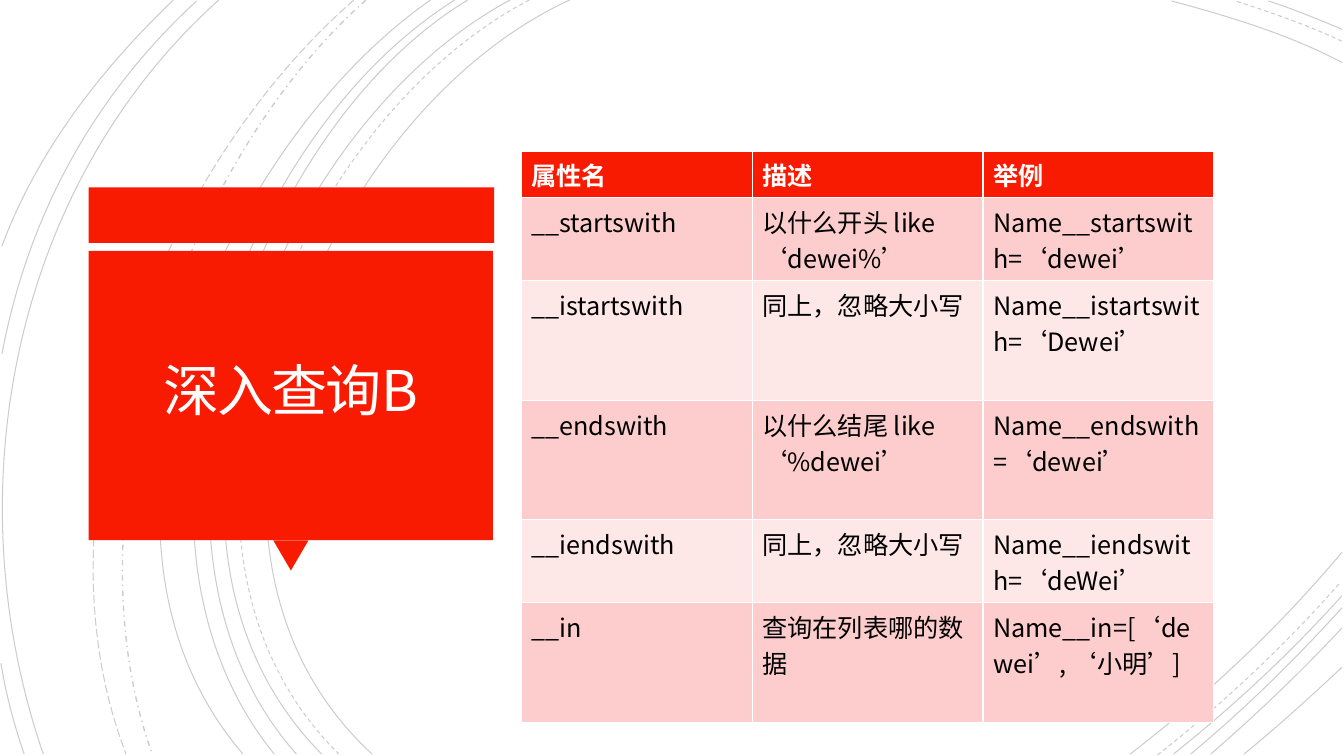
from pptx import Presentation
from pptx.dml.color import RGBColor
from pptx.enum.dml import MSO_LINE
from pptx.enum.shapes import MSO_SHAPE
from pptx.enum.text import MSO_ANCHOR, MSO_AUTO_SIZE, PP_ALIGN
from pptx.oxml.ns import qn
from pptx.util import Inches, Pt
from lxml.etree import SubElement

FONT = "Noto Sans CJK SC"
RED, WHITE, BLACK = "F81B02", "FFFFFF", "000000"


def color(code):
    return RGBColor.from_string(code)


def write(frame, text, size=18, ink=BLACK, bold=False, align=PP_ALIGN.LEFT):
    para = frame.paragraphs[0]
    para.alignment = align
    run = para.add_run()
    run.text = text
    font = run.font
    font.size, font.bold, font.name = Pt(size), bold, FONT
    font.color.rgb = color(ink)
    SubElement(run._r.get_or_add_rPr(), qn("a:ea"), typeface=FONT)
    return run


deck = Presentation()
deck.slide_width, deck.slide_height = Inches(13.33), Inches(7.5)
slide = deck.slides.add_slide(deck.slide_layouts[5])
shapes = slide.shapes

# Background arcs: start, two control points, end
SOLID, DASH = MSO_LINE.SOLID, MSO_LINE.DASH
arcs = [
    (5.65, 0, 3.15, 1.15, 1.43, 5.4, 3.69, 7.48, SOLID),
    (13.31, 0.62, 12.78, 0.34, 12.18, 0.16, 11.62, 0.01, SOLID),
    (11.21, 7.48, 11.97, 6.9, 12.69, 6.22, 13.31, 5.48, SOLID),
    (5.25, 0, 2.85, 1.25, 1.23, 5.37, 3.36, 7.48, DASH),
    (13.31, 0.41, 12.97, 0.25, 12.6, 0.12, 12.25, 0.01, DASH),
    (11.48, 7.49, 12.13, 6.98, 12.75, 6.4, 13.3, 5.77, DASH),
    (5.06, 0, 2.7, 1.27, 1.1, 5.37, 3.19, 7.48, SOLID),
    (13.31, 0.29, 13.07, 0.19, 12.83, 0.09, 12.58, 0.01, SOLID),
    (11.64, 7.48, 12.23, 7.01, 12.8, 6.48, 13.31, 5.91, SOLID),
    (4.64, 0, 2.44, 1.33, 1.1, 5.41, 2.94, 7.48, SOLID),
    (11.81, 7.48, 12.34, 7.04, 12.84, 6.55, 13.31, 6.03, SOLID),
    (4.51, 0, 2.31, 1.38, 0.97, 5.33, 2.72, 7.48, SOLID),
    (12.01, 7.48, 12.46, 7.09, 12.9, 6.67, 13.31, 6.23, SOLID),
    (4.27, 0, 2.17, 1.47, 0.53, 5.29, 2.41, 7.48, SOLID),
    (12.34, 7.48, 12.67, 7.21, 12.99, 6.92, 13.31, 6.62, SOLID),
    (3.63, 0, 1.76, 1.66, 0.65, 5.09, 1.51, 7.48, MSO_LINE.DASH_DOT),
    (3.51, 0, 1.57, 1.69, 0.29, 4.99, 1.25, 7.48, MSO_LINE.LONG_DASH),
    (2.17, 0, 0.11, 1.85, -0.46, 4.9, 0.43, 7.48, SOLID),
    (1.95, 0.01, 0.92, 0.96, 0.28, 2.14, 0.02, 3.51, SOLID),
    (0.01, 6.58, 0.06, 6.89, 0.14, 7.19, 0.24, 7.48, SOLID),
    (1.72, 0, 1, 0.69, 0.37, 1.5, 0.02, 2.44, SOLID),
]
for *nums, dash in arcs:
    points = [(Inches(x), Inches(y)) for x, y in zip(nums[::2], nums[1::2])]
    pen = shapes.build_freeform(*points[0])
    pen.add_line_segments(points[1:], close=False)
    arc = pen.convert_to_shape()
    # Join the three segments into one cubic curve
    track = arc._element.find(".//" + qn("a:pathLst"))[0]
    curve = SubElement(track, qn("a:cubicBezTo"))
    for leg in track.findall(qn("a:lnTo")):
        curve.append(leg[0])
        track.remove(leg)
    arc.shadow.inherit = False
    arc.fill.background()
    arc.line.color.rgb = color(BLACK)
    arc.line.width = Pt(1 if dash == MSO_LINE.DASH_DOT else 0.75)
    arc.line.dash_style = dash
    tint = arc.line._ln.find(".//" + qn("a:srgbClr"))
    SubElement(tint, qn("a:alpha"), val="20000")

# Red title panel with its pointer
for kind, box, turn in [
    (MSO_SHAPE.RECTANGLE, (0.88, 1.86, 4.02, 0.55), 0),
    (MSO_SHAPE.ISOSCELES_TRIANGLE, (2.71, 5.36, 0.35, 0.3), 180),
    (MSO_SHAPE.RECTANGLE, (0.88, 2.49, 4.01, 2.87), 0),
]:
    panel = shapes.add_shape(kind, *map(Inches, box))
    panel.rotation = turn
    panel.shadow.inherit = False
    panel.fill.solid()
    panel.fill.fore_color.rgb = color(RED)
    panel.line.fill.background()

# Title, brought in front of the panel
title = shapes.title
title.left, title.top = Inches(0.97), Inches(2.57)
title.width, title.height = Inches(3.83), Inches(2.69)
frame = title.text_frame
frame.word_wrap = True
frame.auto_size = MSO_AUTO_SIZE.NONE
frame.vertical_anchor = MSO_ANCHOR.MIDDLE
frame.margin_left = frame.margin_right = Inches(0.25)
frame.margin_top = frame.margin_bottom = Inches(0.25)
run = write(frame, "深入查询B", size=40, ink="FFFEFF", align=PP_ALIGN.CENTER)
run._r.get_or_add_rPr().set("spc", "-150")
frame.paragraphs[0].line_spacing = 0.85
shapes._spTree.append(title._element)

# Lookup table; its default style draws the white rules
rows = [
    ("属性名", "描述", "举例"),
    ("__startswith", "以什么开头 like ‘dewei%’", "Name__startswith=‘dewei’"),
    ("__istartswith", "同上，忽略大小写", "Name__istartswith=‘Dewei’"),
    ("__endswith", "以什么结尾 like ‘%dewei’", "Name__endswith=‘dewei’"),
    ("__iendswith", "同上，忽略大小写", "Name__iendswith=‘deWei’"),
    ("__in", "查询在列表哪的数据", "Name__in=[‘dewei’, ‘小明’]"),
]
highs = [0.44, 0.82, 1.19, 1.18, 0.82, 1.18]
table = shapes.add_table(len(rows), 3, Inches(5.17), Inches(1.5),
                         Inches(6.87), Inches(sum(highs))).table
for col in table.columns:
    col.width = Inches(2.29)
for i, (row, high) in enumerate(zip(rows, highs)):
    table.rows[i].height = Inches(high)
    head = i == 0
    for j, text in enumerate(row):
        cell = table.cell(i, j)
        write(cell.text_frame, text, ink=WHITE if head else BLACK, bold=head)
        cell.fill.solid()
        cell.fill.fore_color.rgb = color(RED if head else "FCCDCC" if i % 2 else "FEE8E7")

deck.save("out.pptx")
